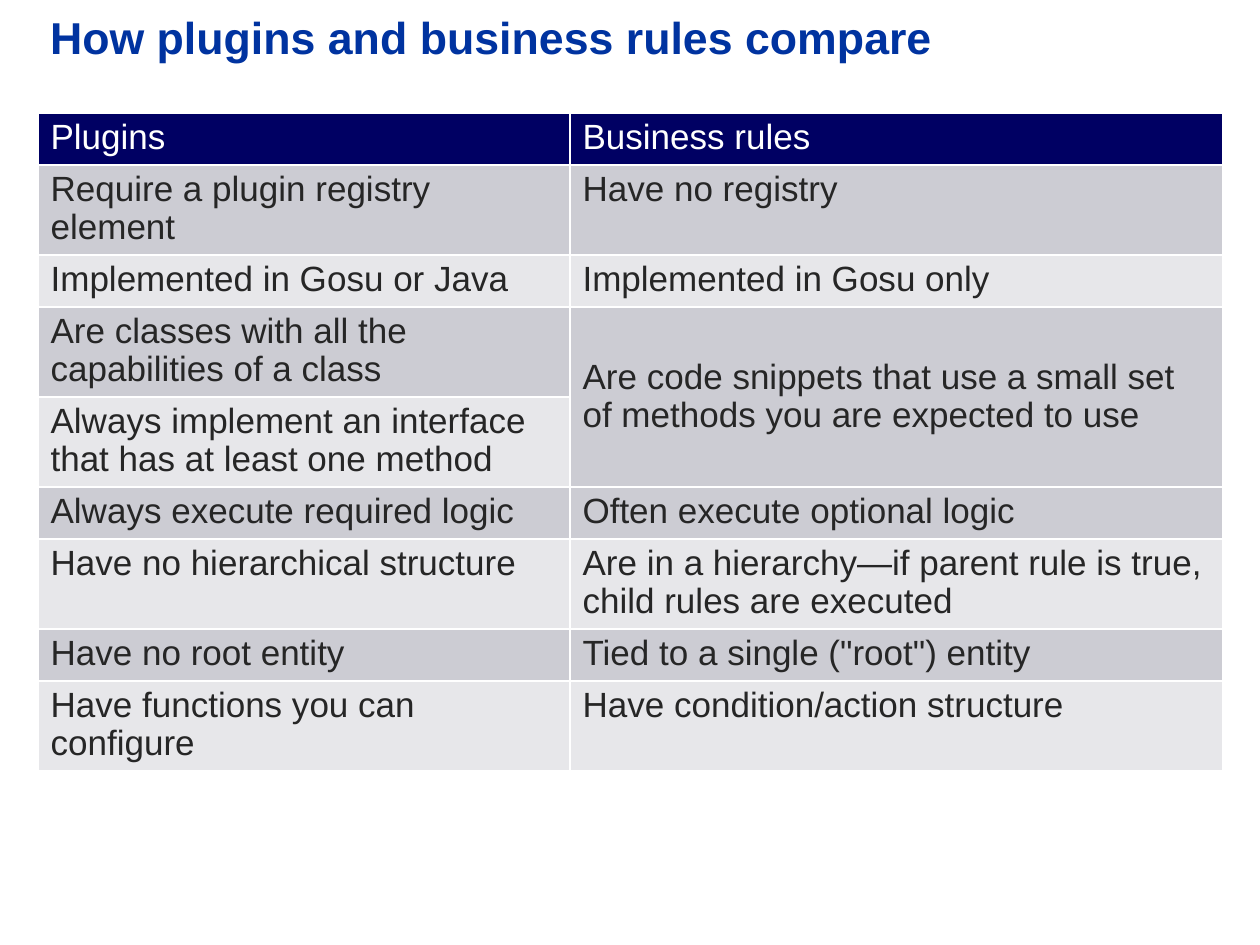
from lxml.etree import SubElement
from pptx import Presentation
from pptx.dml.color import RGBColor
from pptx.enum.text import MSO_ANCHOR, PP_ALIGN
from pptx.oxml.ns import qn
from pptx.util import Emu, Pt

PX = 914400 // 126


def color(hex_value):
    return RGBColor.from_string(hex_value)


def add_borders(cell, hex_value, points):
    properties = cell._tc.get_or_add_tcPr()
    for index, side in enumerate(("a:lnL", "a:lnR", "a:lnT", "a:lnB")):
        line = properties.makeelement(qn(side), {"w": str(Pt(points))})
        properties.insert(index, line)
        fill = SubElement(line, qn("a:solidFill"))
        SubElement(fill, qn("a:srgbClr"), val=hex_value)


presentation = Presentation()
presentation.slide_width = Emu(1260 * PX)
presentation.slide_height = Emu(945 * PX)
slide = presentation.slides.add_slide(presentation.slide_layouts[5])

# Title
title = slide.shapes.title
title.left, title.top = Emu(50 * PX), Emu(16 * PX)
title.width, title.height = Emu(1210 * PX), Emu(102 * PX)
frame = title.text_frame
frame.text = "How plugins and business rules compare"
frame.margin_left = frame.margin_right = frame.margin_top = frame.margin_bottom = 0
frame.vertical_anchor = MSO_ANCHOR.TOP
paragraph = frame.paragraphs[0]
paragraph.alignment = PP_ALIGN.LEFT
paragraph.line_spacing = 0.9
paragraph.font.name = "Arial"
paragraph.font.size = Pt(25.5)
paragraph.font.bold = True
paragraph.font.color.rgb = color("0033A0")

# Comparison table: plugin text, rule text, lines of text in the row
rows = [
    ("Plugins", "Business rules", 1),
    ("Require a plugin registry element", "Have no registry", 2),
    ("Implemented in Gosu or Java", "Implemented in Gosu only", 1),
    ("Are classes with all the capabilities of a class",
     "Are code snippets that use a small set of methods you are expected to use", 2),
    ("Always implement an interface that has at least one method", "", 2),
    ("Always execute required logic", "Often execute optional logic", 1),
    ("Have no hierarchical structure",
     "Are in a hierarchy—if parent rule is true, child rules are executed", 2),
    ("Have no root entity", 'Tied to a single ("root") entity', 1),
    ("Have functions you can configure", "Have condition/action structure", 2),
]
column_widths = (532, 653)
row_heights = {1: 52, 2: 90}
table_height = sum(row_heights[lines] for _, _, lines in rows)
table = slide.shapes.add_table(
    len(rows), 2, Emu(38 * PX), Emu(113 * PX),
    Emu(sum(column_widths) * PX), Emu(table_height * PX)).table
for column, width in zip(table.columns, column_widths):
    column.width = Emu(width * PX)

for row_index, (plugin, rule, lines) in enumerate(rows):
    table.rows[row_index].height = Emu(row_heights[lines] * PX)
    is_header = row_index == 0
    band = "000063" if is_header else ("E7E7EA", "CCCCD3")[row_index % 2]
    for column_index, text in enumerate((plugin, rule)):
        cell = table.cell(row_index, column_index)
        cell.text = text
        cell.fill.solid()
        cell.fill.fore_color.rgb = color(band)
        add_borders(cell, "FFFFFF", 1)
        paragraph = cell.text_frame.paragraphs[0]
        paragraph.line_spacing = 0.97
        paragraph.font.name = "Arial"
        paragraph.font.size = Pt(20)
        paragraph.font.bold = False
        paragraph.font.color.rgb = color("FFFFFF" if is_header else "262626")

# One rule answers two plugin rows
snippet_cell = table.cell(3, 1)
snippet_cell.merge(table.cell(4, 1))
snippet_cell.vertical_anchor = MSO_ANCHOR.MIDDLE

presentation.save("out.pptx")
